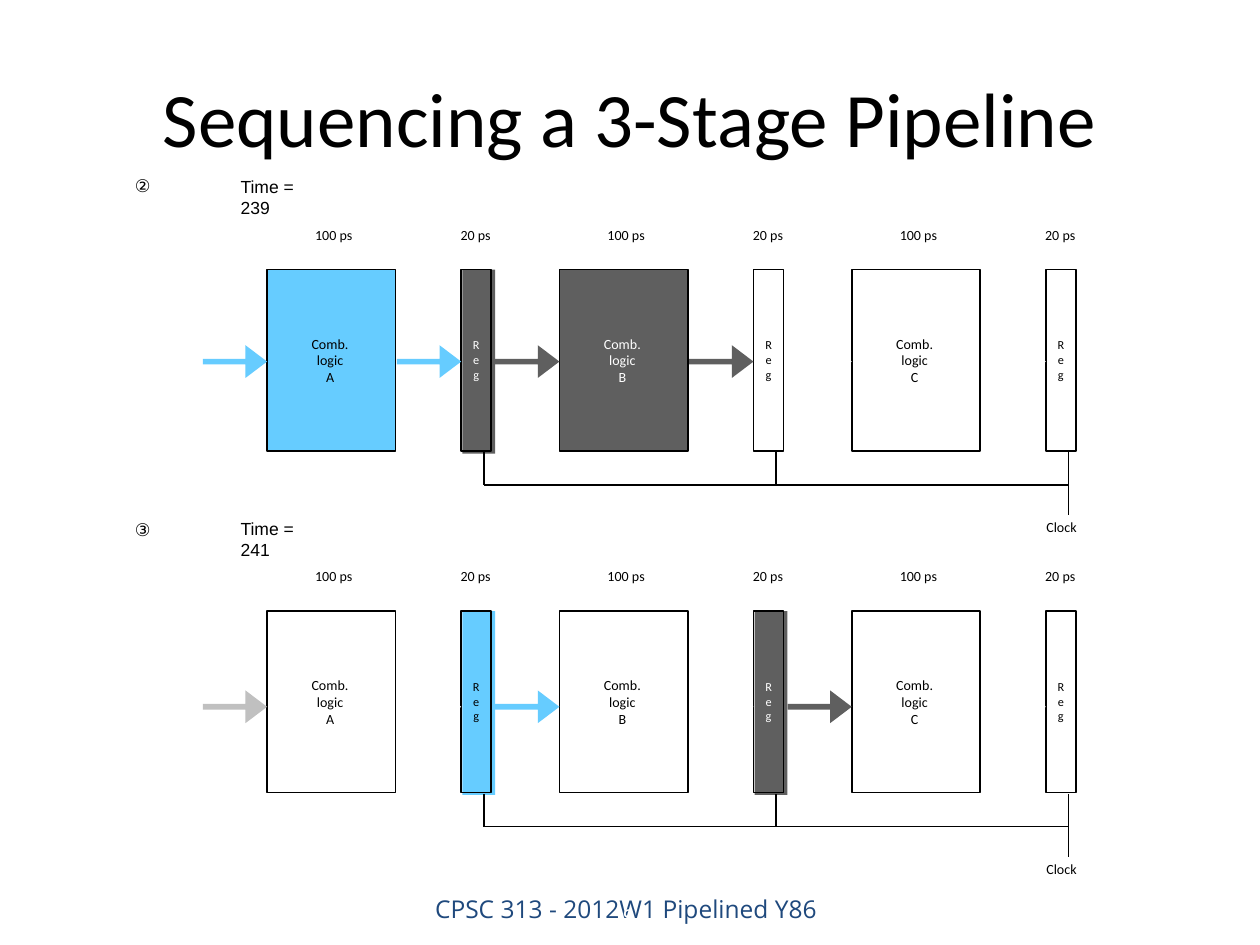
from dataclasses import dataclass

from lxml import etree
from pptx import Presentation
from pptx.dml.color import RGBColor
from pptx.enum import shapes as kinds, text as txt
from pptx.oxml import ns
from pptx.util import Inches, Pt


@dataclass(frozen=True)
class Theme:
    black: str = "000000"
    white: str = "FFFFFF"
    blue: str = "66CCFF"
    dark: str = "5F5F5F"
    gray: str = "C0C0C0"
    navy: str = "1F497D"
    body_font: str = "Calibri"
    label_font: str = "Arial"
    footer_font: str = "Open Sans"
    number_font: str = "Cabin"
    title_size: int = 44
    footer_size: int = 14
    number_size: int = 11
    time_size: int = 10
    label_size: int = 8
    reg_size: int = 7
    line_width: int = 1


THEME = Theme()
STAGES = "ABC"
STAGE_PITCH = 2.32
REG_OFFSET = 1.54
COMB_WIDTH, REG_WIDTH, BLOCK_HEIGHT = 1.02, 0.24, 1.44
ARROW_WIDTH, ARROW_HEIGHT = 0.51, 0.26
CLOCK_OFFSET, CLOCK_DROP, CLOCK_TAIL = 0.18, 0.27, 0.51


@dataclass(frozen=True)
class Step:
    """One moment; fills run stage by stage, arrows from the input onwards."""
    marker: str
    marker_top: float
    time: str
    top: float
    arrow_top: float
    combs: tuple
    regs: tuple
    arrows: tuple


T = THEME
STEPS = (
    Step("②", 1.21, "Time = 239", 2.14, 2.74,
         (T.blue, T.dark, T.white), (T.dark, None, None),
         (T.blue, T.blue, T.dark, T.dark, T.white, T.white)),
    Step("③", 3.94, "Time = 241", 4.85, 5.48,
         (T.white, T.white, T.white), (T.blue, T.dark, None),
         (T.gray, T.white, T.blue, T.white, T.dark, T.white)),
)


def rgb(value):
    return RGBColor.from_string(value)


def set_font(paragraph, name, size, color):
    paragraph.font.name = name
    paragraph.font.size = Pt(size)
    paragraph.font.color.rgb = rgb(color)


def add_text(slide, box, words, name, size, color, insets=(0, 0, 0, 0),
             align=txt.PP_ALIGN.CENTER, anchor=txt.MSO_ANCHOR.MIDDLE,
             wrap=False, indent=0):
    frame = slide.shapes.add_textbox(*map(Inches, box)).text_frame
    frame.margin_left, frame.margin_top, frame.margin_right, frame.margin_bottom = map(
        Inches, insets)
    frame.word_wrap = wrap
    frame.vertical_anchor = anchor
    frame.text = words
    for paragraph in frame.paragraphs:
        paragraph.alignment = align
        if indent:
            paragraph._p.get_or_add_pPr().set("marL", str(Inches(indent)))
        set_font(paragraph, name, size, color)
    return frame


def add_label(slide, box, words, size=THEME.label_size, color=THEME.black):
    frame = add_text(slide, box, words, THEME.body_font, size, color,
                     insets=(0, 0, 0.04, 0), indent=0.03)
    frame.auto_size = txt.MSO_AUTO_SIZE.SHAPE_TO_FIT_TEXT


def add_block(slide, kind, box, fill=None, outlined=False):
    block = slide.shapes.add_shape(kind, *map(Inches, box))
    block.shadow.inherit = False
    if fill:
        block.fill.solid()
        block.fill.fore_color.rgb = rgb(fill)
    else:
        block.fill.background()
    if outlined:
        block.line.color.rgb = rgb(THEME.black)
        block.line.width = Pt(THEME.line_width)
    else:
        block.line.fill.background()
    return block


def add_line(slide, x1, y1, x2, y2):
    wire = slide.shapes.add_connector(
        kinds.MSO_CONNECTOR.STRAIGHT, *map(Inches, (x1, y1, x2, y2)))
    wire.line.color.rgb = rgb(THEME.black)
    wire.line.width = Pt(THEME.line_width)
    etree.SubElement(wire._element.spPr, ns.qn("a:effectLst"))


def text_on(fill):
    return THEME.white if fill == THEME.dark else THEME.black


def add_comb(slide, left, top, stage, fill):
    add_block(slide, kinds.MSO_SHAPE.RECTANGLE,
              (left, top, COMB_WIDTH, BLOCK_HEIGHT), fill, outlined=True)
    add_label(slide, (left + 0.32, top + 0.52, 0.37, 0.4),
              f"Comb.\nlogic\n{stage}", color=text_on(fill))
    add_label(slide, (left + 0.35, top - 0.34, 0.37, 0.13), "100 ps")


def add_reg(slide, left, top, fill):
    """Register outline over a slightly larger patch of colour when it is active."""
    if fill:
        add_block(slide, kinds.MSO_SHAPE.RECTANGLE,
                  (left + 0.01, top, REG_WIDTH + 0.02, BLOCK_HEIGHT + 0.02), fill)
    add_block(slide, kinds.MSO_SHAPE.RECTANGLE,
              (left, top, REG_WIDTH, BLOCK_HEIGHT), outlined=True)
    add_label(slide, (left + 0.06, top + 0.54, 0.13, 0.35), "R\ne\ng",
              THEME.reg_size, text_on(fill))
    add_label(slide, (left - 0.04, top - 0.34, 0.32, 0.13), "20 ps")


def add_flow(slide, targets, top, fills):
    """Arrows that each end at the left edge of the next block."""
    for target, fill in zip(targets, fills):
        arrow = add_block(slide, kinds.MSO_SHAPE.RIGHT_ARROW,
                          (target - ARROW_WIDTH, top, ARROW_WIDTH, ARROW_HEIGHT), fill)
        arrow.adjustments[0], arrow.adjustments[1] = 0.17, 0.66


def add_clock(slide, reg_lefts, top):
    taps = [left + CLOCK_OFFSET for left in reg_lefts]
    bus = top + CLOCK_DROP
    for tap in taps[:-1]:
        add_line(slide, tap, top + 0.01, tap, bus)
    add_line(slide, taps[-1], top + 0.01, taps[-1], top + CLOCK_TAIL)
    add_line(slide, taps[0], bus, taps[-1], bus)
    add_label(slide, (reg_lefts[-1] - 0.03, top + 0.54, 0.32, 0.13), "Clock")


def add_step(slide, left, step):
    add_text(slide, (left - 1.05, step.marker_top, 0.53, 0.52), step.marker,
             THEME.label_font, THEME.time_size, THEME.black,
             align=txt.PP_ALIGN.LEFT, wrap=True)
    add_text(slide, (left - 0.21, step.top - 0.66, 0.69, 0.17), step.time,
             THEME.label_font, THEME.time_size, THEME.black, align=txt.PP_ALIGN.LEFT)
    comb_lefts = [left + i * STAGE_PITCH for i in range(len(STAGES))]
    reg_lefts = [comb + REG_OFFSET for comb in comb_lefts]
    for stage, comb, reg, comb_fill, reg_fill in zip(
            STAGES, comb_lefts, reg_lefts, step.combs, step.regs):
        add_comb(slide, comb, step.top, stage, comb_fill)
        add_reg(slide, reg, step.top, reg_fill)
    add_flow(slide, sorted(comb_lefts + reg_lefts), step.arrow_top, step.arrows)
    add_clock(slide, reg_lefts, step.top + BLOCK_HEIGHT)


def add_title(slide, box):
    title = slide.shapes.title
    title.left, title.top, title.width, title.height = map(Inches, box)
    title.text_frame.text = "Sequencing a 3-Stage Pipeline"
    title.text_frame.vertical_anchor = txt.MSO_ANCHOR.MIDDLE
    heading = title.text_frame.paragraphs[0]
    heading.alignment = txt.PP_ALIGN.CENTER
    set_font(heading, THEME.body_font, THEME.title_size, THEME.black)


def add_footer(slide, left, top):
    add_text(slide, (left, top, 3.56, 0.3), "CPSC 313 - 2012W1 Pipelined Y86",
             THEME.footer_font, THEME.footer_size, THEME.navy,
             insets=(0.1, 0.05, 0.1, 0.05), anchor=txt.MSO_ANCHOR.TOP, wrap=True)
    add_text(slide, (left + 1.68, top + 0.09, 0.24, 0.26), "9",
             THEME.number_font, THEME.number_size, THEME.white,
             insets=(0.07, 0.04, 0.07, 0.04), anchor=txt.MSO_ANCHOR.TOP)


def main():
    deck = Presentation()
    deck.slide_width, deck.slide_height = Inches(10), Inches(7.5)
    slide = deck.slides.add_slide(deck.slide_layouts[5])
    add_footer(slide, 3.19, 7.05)
    add_title(slide, (0.5, 0.3, 9, 1.25))
    for step in STEPS:
        add_step(slide, 2.12, step)
    deck.save("out.pptx")


if __name__ == "__main__":
    main()
